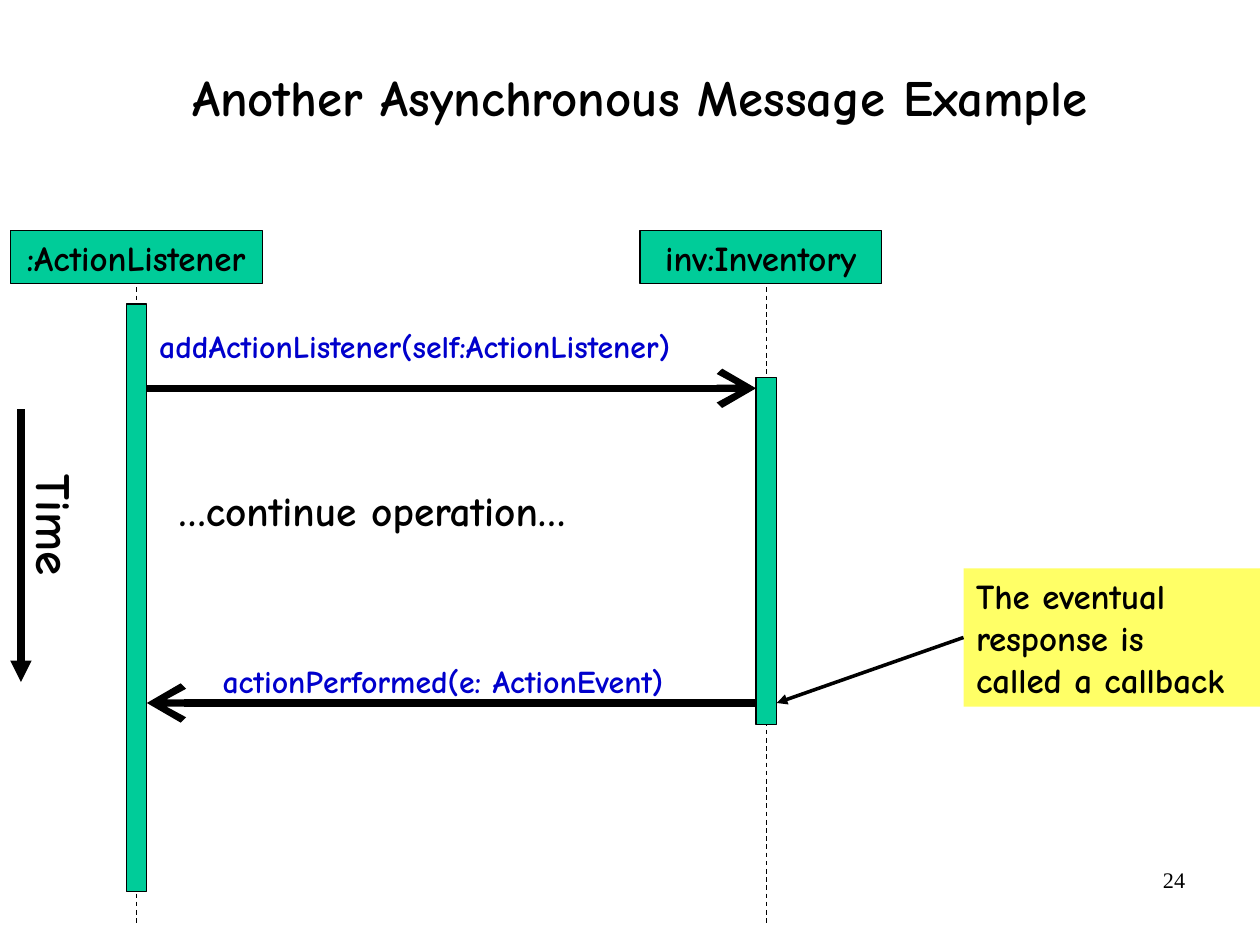
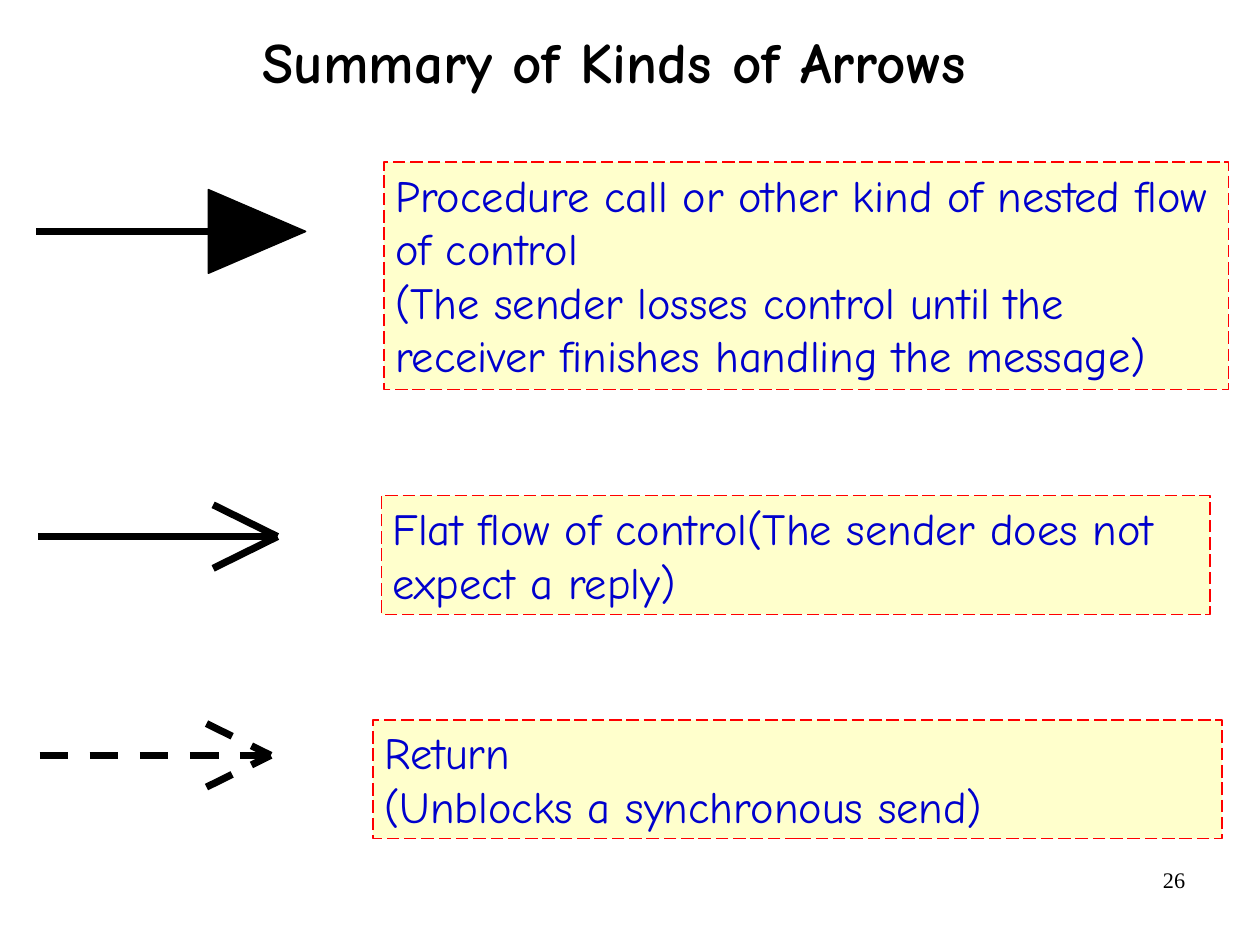
from pptx import Presentation
from pptx.dml.color import RGBColor
from pptx.enum.dml import MSO_LINE
from pptx.enum.shapes import MSO_CONNECTOR, MSO_SHAPE
from pptx.enum.text import MSO_ANCHOR, MSO_AUTO_SIZE, PP_ALIGN
from pptx.oxml.ns import qn
from pptx.util import Pt
from lxml.etree import SubElement

WIDTH, HEIGHT = 793.75, 595.25
THEME = {
    "font": "Comic Neue", "number_font": "Times New Roman",
    "ink": "000000", "label": "0000CC", "object": "00CC99",
    "note": "FFFF66", "panel": "FFFFCC", "panel_line": "FF0000",
    "header_size": 22, "message_size": 20, "time_size": 31,
    "operation_size": 26, "panel_size": 28, "number_size": 14,
    "thin": 0.75, "panel_width": 1, "callout_width": 2.25, "thick": 4.5,
}
INSETS = (7.9, 3.95)
DEFAULT_INSETS = (7.2, 3.6)
NUMBER_BOX = (568.8, 542, 185, 41)

SEQUENCE = {
    "title": "Another Asynchronous Message Example",
    "title_box": (40.3, 13.7, 725.8, 98.6), "title_size": 32, "number": "24",
}
SUMMARY = {
    "title": "Summary of Kinds of Arrows",
    "title_box": (49, -8.6, 676, 99.4), "title_size": 36, "number": "26",
}

BAR_WIDTH = 13
HEADER_TOP, HEADER_HEIGHT = 145.4, 33.1
LIFELINE_TOP, LIFELINE_BOTTOM = 165.6, 581.6
OBJECTS = [
    {"name": ":ActionListener", "axis": 86, "header": (6.5, 158.7), "bar": (191.5, 370)},
    {"name": "inv:Inventory", "axis": 482.8, "header": (403.2, 152.2), "bar": (238, 218.2)},
]
MESSAGES = [
    {"text": "addActionListener(self:ActionListener)", "box": (92.4, 201.6, 388, 31.7),
     "y": 244.6, "from": 0, "to": 1},
    {"text": "actionPerformed(e: ActionEvent)", "box": (132.3, 412.8, 330.5, 31.7),
     "y": 442.8, "from": 1, "to": 0},
]
OPERATION = ("…continue operation…", (104.4, 301.5, 279.4, 39.6))
TIME = ("Time", (-8.6, 312.2, 87.8, 45.4), (13.2, 257.8, 13.2, 429.6))
NOTE = (["The eventual", "response is", "called a callback"], (607, 358, WIDTH - 607, 87.1))

HEAD_LENGTH, HEAD_RISE = 40.5, 20
ARROWS = [
    {"kind": "solid", "shaft": (22.8, 146, 185), "box": (241.9, 102.2, 532, 143.1),
     "text": ["Procedure call or other kind of nested flow of control",
              "(The sender losses control until the receiver finishes handling the message)"]},
    {"kind": "open", "shaft": (24.2, 338, 174.8), "box": (240.2, 312.2, 522, 74.9),
     "text": ["Flat flow of control(The sender does not expect a reply)"]},
    {"kind": "dashed", "shaft": (25, 475.8, 170.6), "box": (235, 453.4, 535, 74.9),
     "text": ["Return", "(Unblocks a synchronous send)"]},
]
TRIANGLE = (135.6, 115.2, 52.6, 61.2)


def color(name):
    return RGBColor.from_string(THEME[name])


def apply_formats(target, formats):
    for name, value in formats.items():
        setattr(target, name, value)


def style_line(line, ink, width, dash=None):
    line.color.rgb = color(ink)
    apply_formats(line, {"width": Pt(width), "dash_style": dash})


def write(shape, lines, size, ink="ink", bold=True, font="font", align=PP_ALIGN.LEFT,
          anchor=MSO_ANCHOR.TOP, insets=INSETS, wrap=False, grow=True, spacing=None):
    frame = shape.text_frame
    side, edge = map(Pt, insets)
    apply_formats(frame, {
        "margin_left": side, "margin_right": side, "margin_top": edge, "margin_bottom": edge,
        "vertical_anchor": anchor, "word_wrap": wrap,
        "auto_size": MSO_AUTO_SIZE.SHAPE_TO_FIT_TEXT if grow else MSO_AUTO_SIZE.NONE,
    })
    for index, text in enumerate(lines):
        paragraph = frame.add_paragraph() if index else frame.paragraphs[0]
        apply_formats(paragraph, {"alignment": align, "line_spacing": spacing})
        run = paragraph.add_run()
        run.text = text
        apply_formats(run.font, {"name": THEME[font], "size": Pt(size), "bold": bold})
        run.font.color.rgb = color(ink)


def add_text(slide, box, lines, size, **formats):
    shape = slide.shapes.add_textbox(*map(Pt, box))
    write(shape, lines, size, **formats)
    return shape


def add_block(slide, box, fill, line=None, kind=MSO_SHAPE.RECTANGLE):
    shape = slide.shapes.add_shape(kind, *map(Pt, box))
    shape.shadow.inherit = False
    shape.fill.solid()
    shape.fill.fore_color.rgb = color(fill)
    if line:
        style_line(shape.line, *line)
    else:
        shape.line.fill.background()
    return shape


def add_line(shapes, ends, width, dash=None, arrowhead=None, head_size="med"):
    connector = shapes.add_connector(MSO_CONNECTOR.STRAIGHT, *map(Pt, ends))
    style_line(connector.line, "ink", width, dash)
    properties = connector._element.spPr
    if arrowhead:
        SubElement(properties.find(qn("a:ln")), qn("a:tailEnd"),
                   type=arrowhead, w=head_size, len=head_size)
    SubElement(properties, qn("a:effectLst"))
    return connector


def add_slide(presentation, content):
    slide = presentation.slides.add_slide(presentation.slide_layouts[6])
    add_text(slide, NUMBER_BOX, [content["number"]], THEME["number_size"], bold=False,
             font="number_font", align=PP_ALIGN.RIGHT, insets=DEFAULT_INSETS,
             wrap=True, grow=False)
    add_text(slide, content["title_box"], [content["title"]], content["title_size"],
             align=PP_ALIGN.CENTER, anchor=MSO_ANCHOR.MIDDLE, insets=(0, 0),
             wrap=True, grow=False, spacing=0.88)
    return slide


def build_sequence(presentation):
    slide = add_slide(presentation, SEQUENCE)
    outline = ("ink", THEME["thin"])
    for item in OBJECTS:
        axis = item["axis"]
        add_line(slide.shapes, (axis, LIFELINE_TOP, axis, LIFELINE_BOTTOM),
                 THEME["thin"], MSO_LINE.DASH)
        left, width = item["header"]
        header = add_block(slide, (left, HEADER_TOP, width, HEADER_HEIGHT), "object", outline)
        write(header, [item["name"]], THEME["header_size"], align=PP_ALIGN.CENTER,
              anchor=MSO_ANCHOR.MIDDLE, grow=False)
        top, height = item["bar"]
        add_block(slide, (axis - BAR_WIDTH / 2, top, BAR_WIDTH, height), "object", outline)

    for message in MESSAGES:
        start, end = (OBJECTS[message[key]]["axis"] for key in ("from", "to"))
        inward = BAR_WIDTH / 2 if end > start else -BAR_WIDTH / 2
        add_line(slide.shapes, (start + inward, message["y"], end - inward, message["y"]),
                 THEME["thick"], arrowhead="arrow", head_size="lg")
        add_text(slide, message["box"], [message["text"]], THEME["message_size"], ink="label")

    text, box = OPERATION
    add_text(slide, box, [text], THEME["operation_size"])
    text, box, ends = TIME
    add_line(slide.shapes, ends, THEME["thick"], arrowhead="triangle")
    add_text(slide, box, [text], THEME["time_size"]).rotation = 90

    lines, box = NOTE
    note = add_block(slide, box, "note")
    write(note, lines, THEME["header_size"])
    left, top, _, height = box
    target = OBJECTS[1]["axis"] + BAR_WIDTH / 2
    callout = add_line(slide.shapes, (left, top + height / 2, target, MESSAGES[1]["y"]),
                       THEME["callout_width"], arrowhead="triangle")
    callout.begin_connect(note, 1)


def build_summary(presentation):
    slide = add_slide(presentation, SUMMARY)
    for arrow in ARROWS:
        start, y, tip = arrow["shaft"]
        dash = MSO_LINE.DASH if arrow["kind"] == "dashed" else None
        if arrow["kind"] == "solid":
            add_line(slide.shapes, (start, y, tip, y), THEME["thick"])
            head = add_block(slide, TRIANGLE, "ink", ("ink", 1), MSO_SHAPE.ISOSCELES_TRIANGLE)
            head.rotation = 90
        else:
            group = slide.shapes.add_group_shape()
            back = tip - HEAD_LENGTH
            for x, rise in ((start, 0), (back, HEAD_RISE), (back, -HEAD_RISE)):
                add_line(group.shapes, (x, y + rise, tip, y), THEME["thick"], dash)
        panel = add_block(slide, arrow["box"], "panel",
                          ("panel_line", THEME["panel_width"], MSO_LINE.LONG_DASH))
        write(panel, arrow["text"], THEME["panel_size"], ink="label", bold=False,
              insets=DEFAULT_INSETS, wrap=True)


def main():
    presentation = Presentation()
    apply_formats(presentation, {"slide_width": Pt(WIDTH), "slide_height": Pt(HEIGHT)})
    build_sequence(presentation)
    build_summary(presentation)
    presentation.save("out.pptx")


if __name__ == "__main__":
    main()
